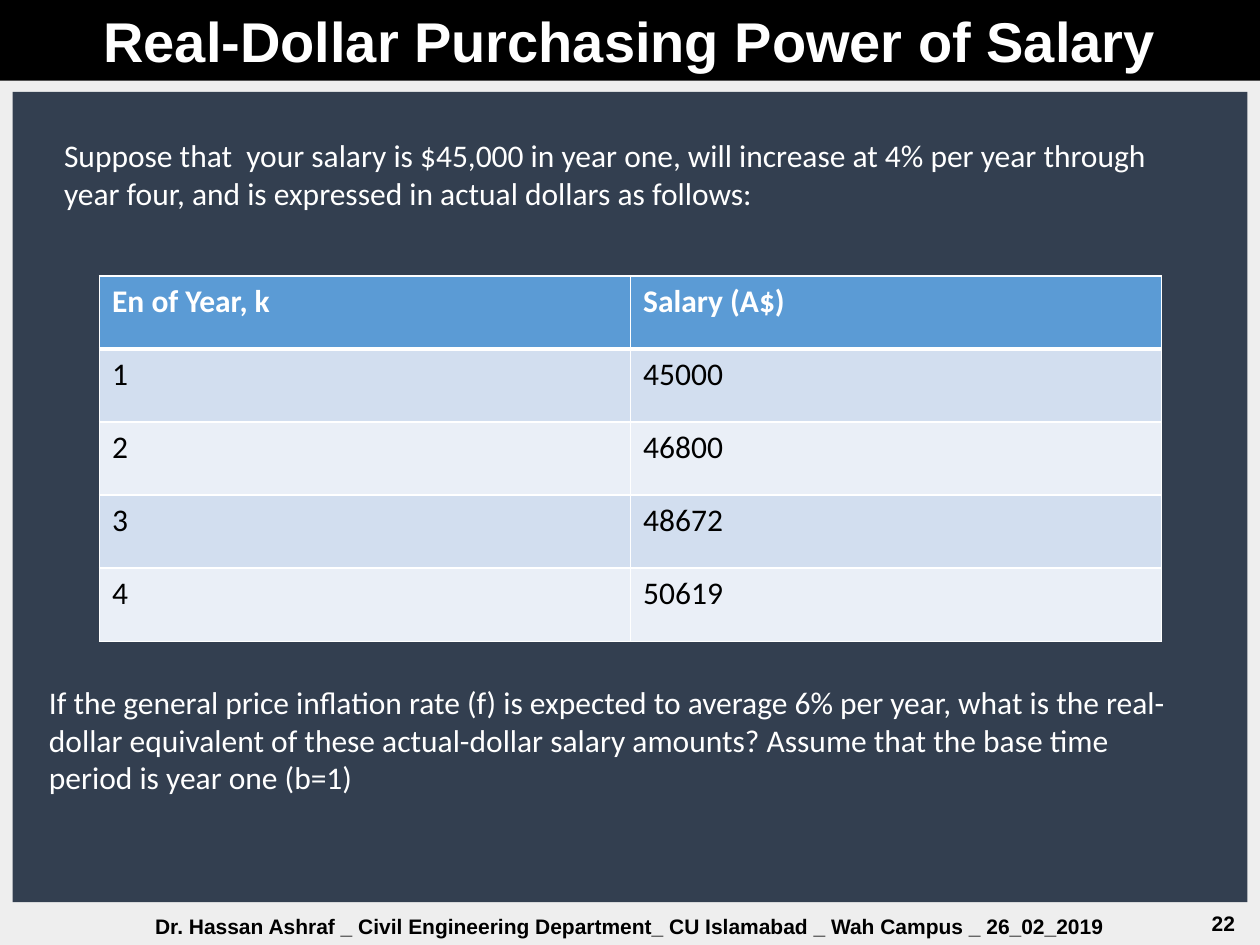
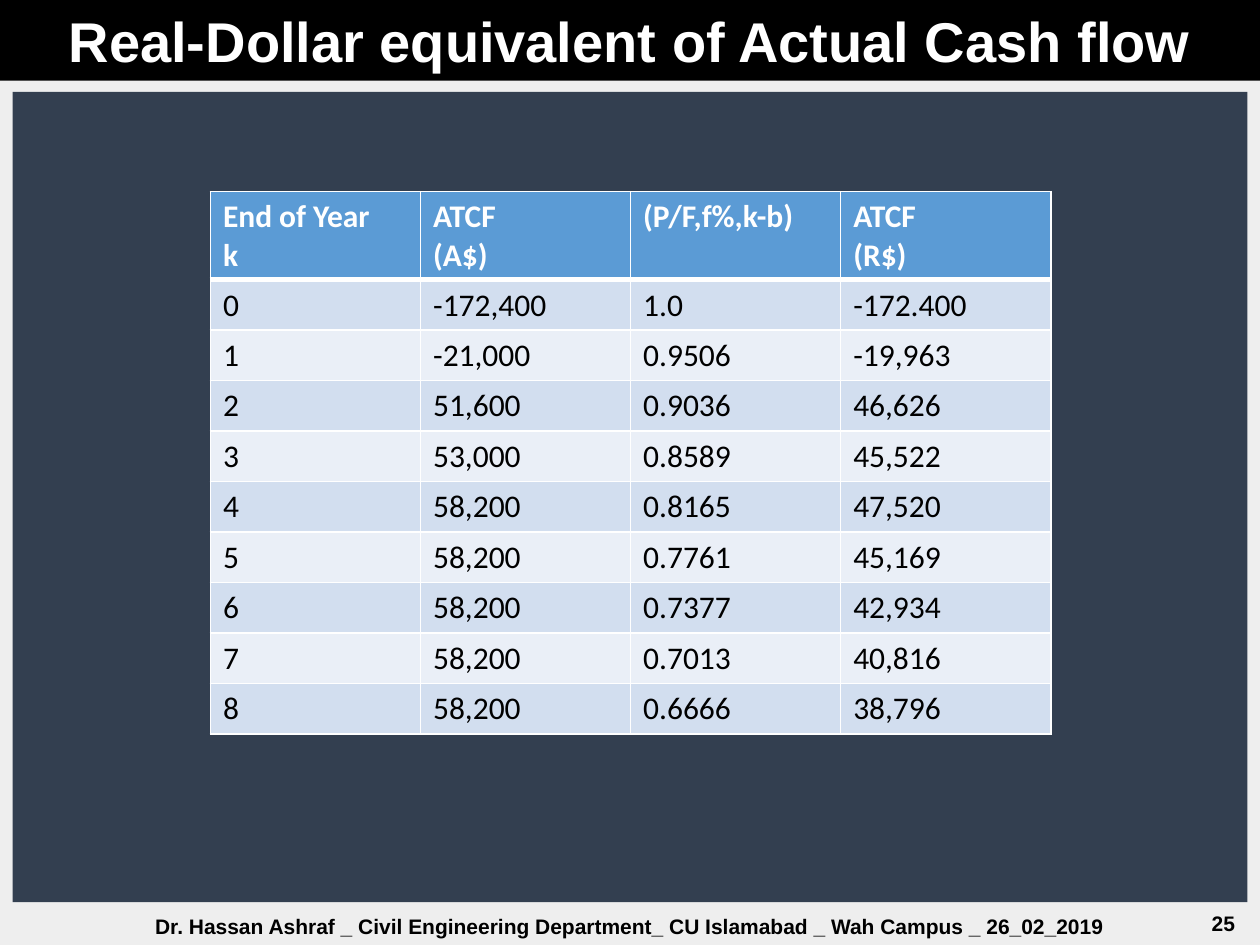
from dataclasses import dataclass

import pptx
import pptx.dml.color
import pptx.enum.shapes
import pptx.enum.text
import pptx.oxml
import pptx.oxml.ns
import pptx.presentation
import pptx.slide
import pptx.table
import pptx.text.text
import pptx.util
from pptx.dml.color import RGBColor
from pptx.enum.text import MSO_ANCHOR, PP_ALIGN
from pptx.util import Inches

BLACK = RGBColor(0x00, 0x00, 0x00)
WHITE = RGBColor(0xFF, 0xFF, 0xFF)
PANEL_NAVY = RGBColor(0x33, 0x3F, 0x50)
HEADER_BLUE = RGBColor(0x5B, 0x9B, 0xD5)
ROW_TINTS = (RGBColor(0xD2, 0xDE, 0xEF), RGBColor(0xEA, 0xEF, 0xF7))
BACKGROUND_GREYS = (RGBColor(0xEE, 0xEE, 0xEE), RGBColor(0xF0, 0xF0, 0xF0))

FOOTER = "Dr. Hassan Ashraf _ Civil Engineering Department_ CU Islamabad _ Wah Campus _ 26_02_2019"


@dataclass(frozen=True)
class Box:
    """Left, top, width and height in inches."""
    left: float
    top: float
    width: float
    height: float

    def lengths(self) -> tuple[pptx.util.Length, ...]:
        return tuple(Inches(value) for value in (self.left, self.top, self.width, self.height))


@dataclass(frozen=True)
class TextStyle:
    font: str
    size: int
    color: RGBColor
    bold: bool = False
    alignment: PP_ALIGN = PP_ALIGN.LEFT
    anchor: MSO_ANCHOR = MSO_ANCHOR.TOP


@dataclass(frozen=True)
class BodyText:
    box: Box
    text: str


@dataclass(frozen=True)
class DataTable:
    box: Box
    header_height: float
    row_height: float
    rows: tuple[tuple[str, ...], ...]


@dataclass(frozen=True)
class SlideContent:
    title: str
    number: int
    table: DataTable
    texts: tuple[BodyText, ...] = ()


TITLE_BAND = Box(0, 0, 10, 0.64)
PANEL = Box(0.1, 0.73, 9.8, 6.43)
FOOTER_BOX = Box(0.1, 7.15, 9.8, 0.4)
NUMBER_BOX = Box(7.65, 7.13, 2.25, 0.4)

TITLE_STYLE = TextStyle("Arial", 32, WHITE, True, PP_ALIGN.CENTER)
FOOTER_STYLE = TextStyle("Arial", 12, BLACK, True, PP_ALIGN.CENTER, MSO_ANCHOR.MIDDLE)
NUMBER_STYLE = TextStyle("Arial", 12, BLACK, True, PP_ALIGN.RIGHT, MSO_ANCHOR.MIDDLE)
BODY_STYLE = TextStyle("Calibri", 18, WHITE)
HEADER_STYLE = TextStyle("Calibri", 18, WHITE, True)
CELL_STYLE = TextStyle("Calibri", 18, BLACK)

SLIDES = (
    SlideContent(
        "Real-Dollar Purchasing Power of Salary",
        22,
        DataTable(Box(0.79, 2.19, 8.43, 2.9), 0.58, 0.58, (
            ("En of Year, k", "Salary (A$)"),
            ("1", "45000"),
            ("2", "46800"),
            ("3", "48672"),
            ("4", "50619"),
        )),
        (
            BodyText(
                Box(0.41, 1.03, 9.22, 1.31),
                "Suppose that  your salary is $45,000 in year one, will increase at 4% per year "
                "through year four, and is expressed in actual dollars as follows:",
            ),
            BodyText(
                Box(0.29, 5.37, 9.22, 1.01),
                "If the general price inflation rate (f) is expected to average 6% per year, what "
                "is the real-dollar equivalent of these actual-dollar salary amounts? Assume that "
                "the base time period is year one (b=1)",
            ),
        ),
    ),
    SlideContent(
        "Real-Dollar equivalent of Actual Cash flow",
        25,
        DataTable(Box(1.67, 1.52, 6.67, 4.34), 0.7, 0.4, (
            ("End of Year\nk", "ATCF\n(A$)", "(P/F,f%,k-b)", "ATCF\n(R$)"),
            ("0", "-172,400", "1.0", "-172.400"),
            ("1", "-21,000", "0.9506", "-19,963"),
            ("2", "51,600", "0.9036", "46,626"),
            ("3", "53,000", "0.8589", "45,522"),
            ("4", "58,200", "0.8165", "47,520"),
            ("5", "58,200", "0.7761", "45,169"),
            ("6", "58,200", "0.7377", "42,934"),
            ("7", "58,200", "0.7013", "40,816"),
            ("8", "58,200", "0.6666", "38,796"),
        )),
    ),
)


def write_text(text_frame: pptx.text.text.TextFrame, text: str, style: TextStyle) -> None:
    text_frame.text = text
    for paragraph in text_frame.paragraphs:
        paragraph.alignment = style.alignment
        for run in paragraph.runs:
            run.font.name = style.font
            run.font.size = pptx.util.Pt(style.size)
            run.font.bold = style.bold
            run.font.color.rgb = style.color


def add_text(slide: pptx.slide.Slide, box: Box, text: str, style: TextStyle) -> None:
    text_frame = slide.shapes.add_textbox(*box.lengths()).text_frame
    text_frame.word_wrap = True
    text_frame.vertical_anchor = style.anchor
    write_text(text_frame, text, style)


def add_rectangle(
    slide: pptx.slide.Slide, box: Box, color: RGBColor
) -> pptx.text.text.TextFrame:
    """Draw a plain filled rectangle and return its text frame."""
    shape = slide.shapes.add_shape(
        pptx.enum.shapes.MSO_SHAPE.RECTANGLE, *box.lengths()
    )
    shape.shadow.inherit = False
    shape.fill.solid()
    shape.fill.fore_color.rgb = color
    shape.line.fill.background()
    shape.text_frame.vertical_anchor = MSO_ANCHOR.TOP
    return shape.text_frame


def set_borders(cell: pptx.table._Cell, top: int, bottom: int) -> None:
    """Give the cell white borders; top and bottom widths are in points."""
    widths = {"lnL": 1, "lnR": 1, "lnT": top, "lnB": bottom}
    properties = cell._tc.get_or_add_tcPr()
    for position, (tag, width) in enumerate(widths.items()):
        border = pptx.oxml.parse_xml(
            f'<a:{tag} {pptx.oxml.ns.nsdecls("a")} w="{pptx.util.Pt(width)}">'
            f'<a:solidFill><a:srgbClr val="{WHITE}"/></a:solidFill></a:{tag}>'
        )
        properties.insert(position, border)


def add_data_table(slide: pptx.slide.Slide, data: DataTable) -> None:
    table = slide.shapes.add_table(
        len(data.rows), len(data.rows[0]), *data.box.lengths()
    ).table
    for row_index, values in enumerate(data.rows):
        is_header = row_index == 0
        height = data.header_height if is_header else data.row_height
        table.rows[row_index].height = Inches(height)
        fill_color = HEADER_BLUE if is_header else ROW_TINTS[(row_index - 1) % 2]
        for column_index, value in enumerate(values):
            cell = table.cell(row_index, column_index)
            cell.fill.solid()
            cell.fill.fore_color.rgb = fill_color
            set_borders(cell, top=3 if row_index == 1 else 1, bottom=3 if is_header else 1)
            write_text(cell.text_frame, value, HEADER_STYLE if is_header else CELL_STYLE)


def set_background(slide: pptx.slide.Slide) -> None:
    fill = slide.background.fill
    fill.gradient()
    fill.gradient_angle = 0
    for stop, color in zip(fill.gradient_stops, BACKGROUND_GREYS):
        stop.color.rgb = color


def add_slide(presentation: pptx.presentation.Presentation, content: SlideContent) -> None:
    slide = presentation.slides.add_slide(presentation.slide_layouts[6])
    set_background(slide)
    add_rectangle(slide, PANEL, PANEL_NAVY)
    write_text(add_rectangle(slide, TITLE_BAND, BLACK), content.title, TITLE_STYLE)
    add_text(slide, NUMBER_BOX, str(content.number), NUMBER_STYLE)
    add_text(slide, FOOTER_BOX, FOOTER, FOOTER_STYLE)
    for body in content.texts:
        add_text(slide, body.box, body.text, BODY_STYLE)
    add_data_table(slide, content.table)


def main() -> None:
    presentation = pptx.Presentation()
    presentation.slide_width = Inches(10)
    presentation.slide_height = Inches(7.5)
    for content in SLIDES:
        add_slide(presentation, content)
    presentation.save("out.pptx")


if __name__ == "__main__":
    main()
